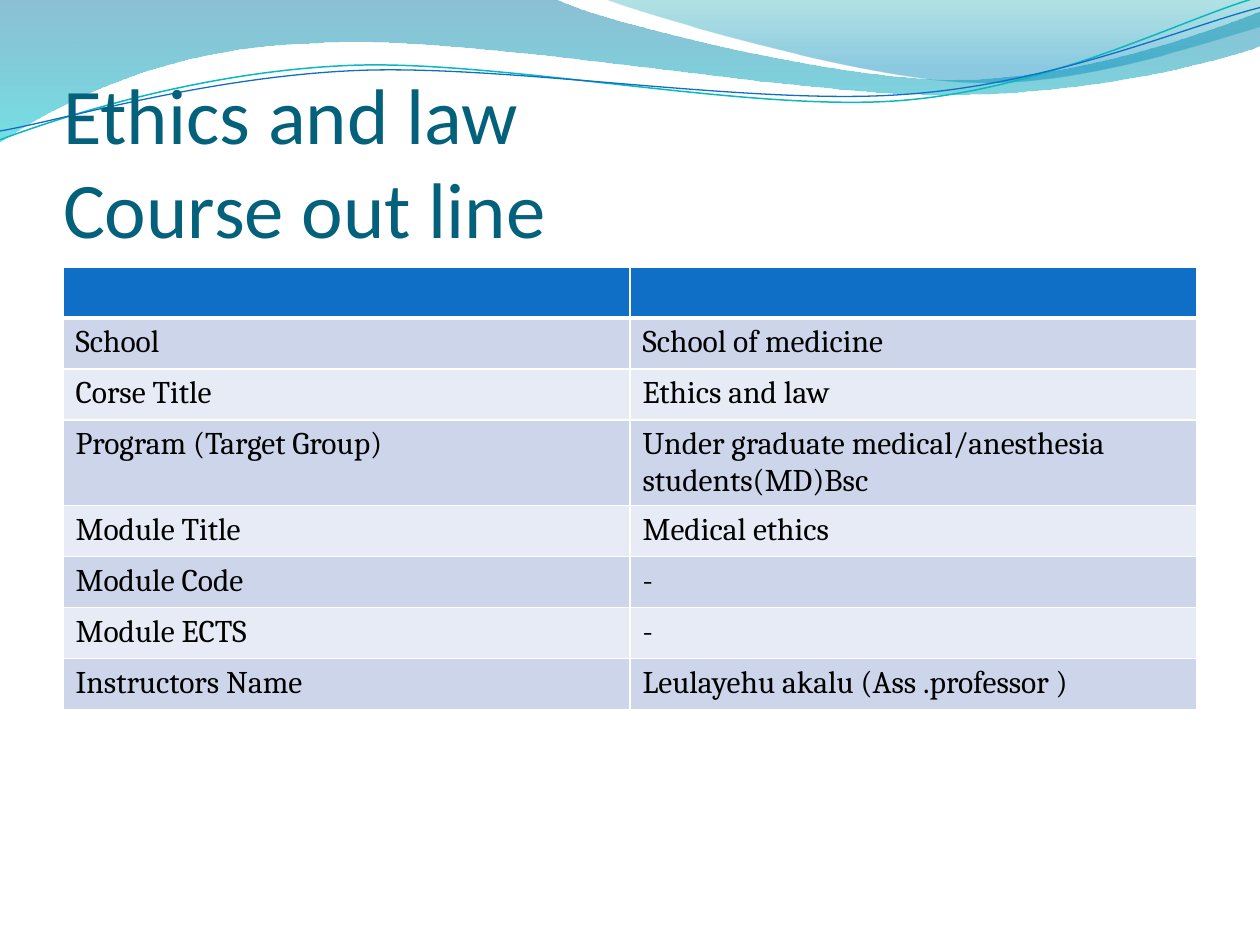
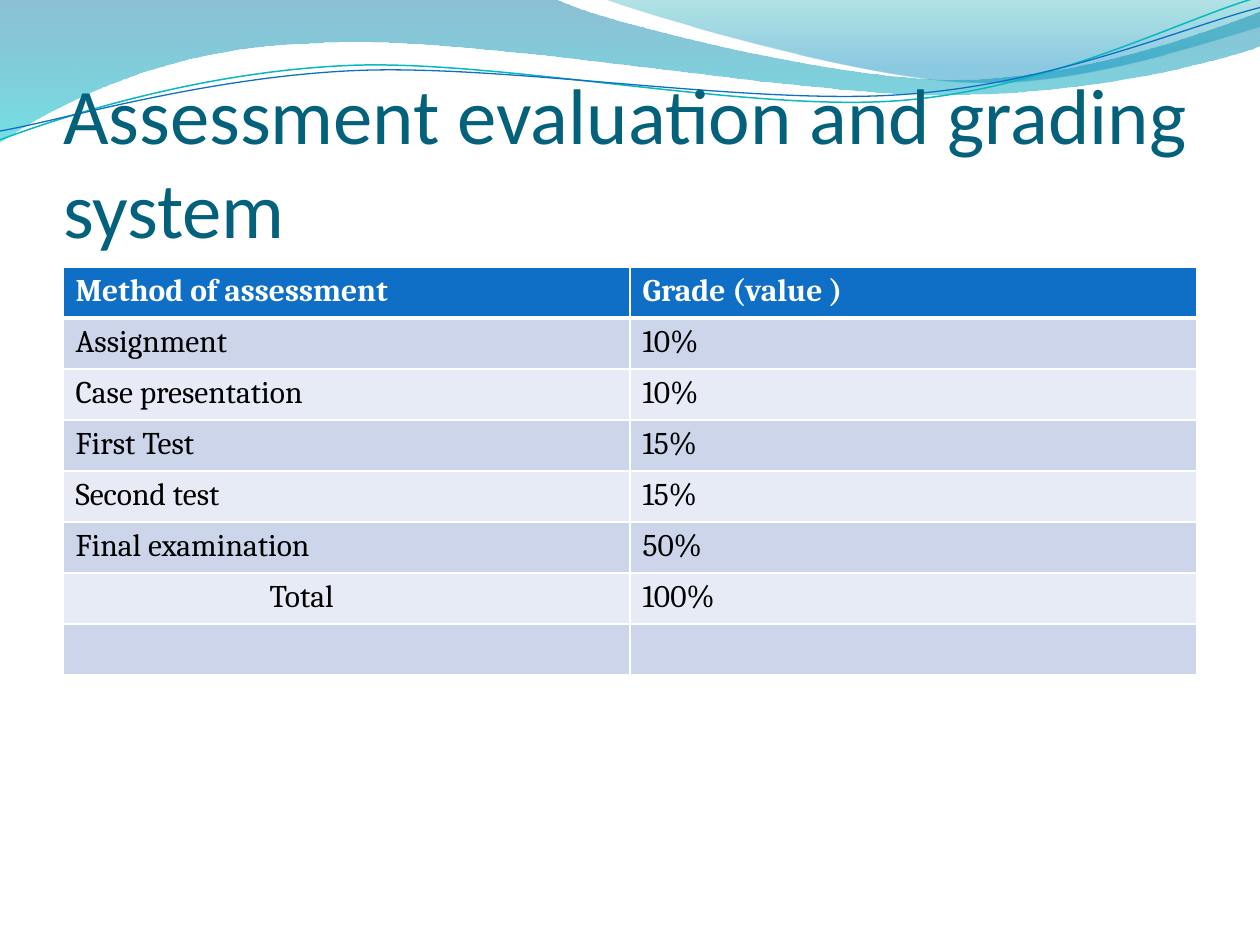
import pptx
import pptx.dml.color
import pptx.enum.text
import pptx.oxml
import pptx.oxml.ns
import pptx.util
from pptx.util import Inches

COLORS = {
    "title": "04617B",
    "header": "0F6FC6",
    "band_dark": "CCD5EA",
    "band_light": "E7EBF5",
    "white": "FFFFFF",
    "black": "000000",
    "wave_blue": "0074A1",
    "wave_cyan": "00C6CF",
    "crest_teal": "00A1A9",
    "crest_blue": "008BBF",
    "line_teal": "0AB8BF",
}
TITLE_FONT, TABLE_FONT = "Calibri", "Cambria"
NAMESPACE = pptx.oxml.ns.nsdecls("a")

# Wave outlines in inches: two numbers make a line, six make a Bezier curve
WAVE = [(0, 0), (4.4, -0.01),
        (4.76, 0.17, 6.64, 0.63, 7.58, 0.63), (8.53, 0.63, 9.58, 0.26, 10, 0.09),
        (10.01, 0.36),
        (9.83, 0.44, 8.7, 0.76, 7.46, 0.75), (6.22, 0.75, 3.82, 0.28, 2.57, 0.34),
        (1.29, 0.36, 0.46, 0.83, -0.01, 1.13), (0, 0)]
CREST = [(4.79, -0.01),
         (5.09, 0.11, 6.82, 0.62, 7.69, 0.65), (8.56, 0.69, 9.61, 0.32, 10, 0.21),
         (10, 0), (4.79, -0.01)]
TEAL_LINE = [(0, 1.11),
             (0.48, 0.93, 1.58, 0.57, 2.77, 0.52), (3.95, 0.47, 5.93, 0.89, 7.13, 0.8),
             (8.33, 0.71, 9.38, 0.15, 9.98, -0.02)]
BLUE_LINE = [(0, 1.04),
             (0.47, 0.96, 1.64, 0.61, 2.83, 0.56), (4.03, 0.51, 5.97, 0.84, 7.17, 0.75),
             (8.36, 0.67, 9.41, 0.21, 10, 0.06)]

COURSE_ROWS = [
    ("", ""),
    ("School", "School of medicine"),
    ("Corse Title", "Ethics and law"),
    ("Program (Target Group)", "Under graduate medical/anesthesia students(MD)Bsc"),
    ("Module Title", "Medical ethics"),
    ("Module Code", "-"),
    ("Module ECTS", "-"),
    ("Instructors Name", "Leulayehu akalu (Ass .professor )"),
]
GRADING_ROWS = [
    ("Method of assessment", "Grade (value )"),
    ("Assignment", "10%"),
    ("Case presentation", "10%"),
    ("First Test", "15%"),
    ("Second test", "15%"),
    ("Final examination", "50%"),
    ("Total", "100%"),
    ("", ""),
]


def rgb(name):
    return pptx.dml.color.RGBColor.from_string(COLORS[name])


def curve_element(shape, numbers):
    """Make a Bezier segment relative to the shape's top left corner."""
    points = "".join(
        f'<a:pt x="{Inches(x) - shape.left}" y="{Inches(y) - shape.top}"/>'
        for x, y in zip(numbers[::2], numbers[1::2]))
    return pptx.oxml.parse_xml(f"<a:cubicBezTo {NAMESPACE}>{points}</a:cubicBezTo>")


def add_outline(page, segments, close):
    """Build the outline through the end points, then bend its curved sides."""
    ends = [(Inches(segment[-2]), Inches(segment[-1])) for segment in segments]
    builder = page.shapes.build_freeform(*ends[0])
    builder.add_line_segments(ends[1:], close=close)
    shape = builder.convert_to_shape()
    shape.shadow.inherit = False
    sides = list(shape.element.spPr.iter(pptx.oxml.ns.qn("a:lnTo")))
    for side, segment in zip(sides, segments[1:]):
        if len(segment) == 6:
            side.getparent().replace(side, curve_element(shape, segment))
    return shape


def add_wave(page, segments, stops):
    """Add a filled wave; each stop is position, colour and opacity in percent."""
    shape = add_outline(page, segments, close=True)
    shape.line.fill.background()
    shape.fill.gradient()
    shape.fill.gradient_angle = 270
    for stop, (position, color, opacity) in zip(shape.fill.gradient_stops, stops):
        stop.position = position
        stop.color.rgb = rgb(color)
    tints = shape.element.spPr.iter(pptx.oxml.ns.qn("a:srgbClr"))
    for tint, (position, color, opacity) in zip(tints, stops):
        tint.append(pptx.oxml.parse_xml(
            f'<a:alpha {NAMESPACE} val="{opacity * 1000}"/>'))
    return shape


def add_wave_line(page, segments, color, width):
    shape = add_outline(page, segments, close=False)
    shape.fill.background()
    shape.line.color.rgb = rgb(color)
    shape.line.width = pptx.util.Pt(width)
    return shape


def decorate_master(page):
    """Draw the waves and move them to the master, behind all slides."""
    waves = [
        add_wave(page, WAVE, [(0, "wave_blue", 45), (1, "wave_cyan", 55)]),
        add_wave(page, CREST, [(0, "crest_teal", 30), (0.8, "crest_blue", 45)]),
        add_wave_line(page, TEAL_LINE, "line_teal", 0.85),
        add_wave_line(page, BLUE_LINE, "header", 0.75),
    ]
    master = page.slide_layout.slide_master
    for number, wave in enumerate(waves, start=20):
        wave.element.nvSpPr.cNvPr.id = number
        master.shapes.element.append(wave.element)


def set_title(page, text):
    title = page.shapes.title
    title.left, title.top = Inches(0.5), Inches(0.77)
    title.width, title.height = Inches(9), Inches(1.25)
    frame = title.text_frame
    frame.text = text
    frame.word_wrap = True
    frame.auto_size = pptx.enum.text.MSO_AUTO_SIZE.NONE
    frame.vertical_anchor = pptx.enum.text.MSO_ANCHOR.BOTTOM
    frame.margin_left = frame.margin_right = frame.margin_bottom = 0
    frame.margin_top = Inches(0.05)
    para = frame.paragraphs[0]
    para.alignment = pptx.enum.text.PP_ALIGN.LEFT
    para.font.name = TITLE_FONT
    para.font.size = pptx.util.Pt(45)
    para.font.color.rgb = rgb("title")


def set_borders(cell, bottom_width):
    properties = cell._tc.get_or_add_tcPr()
    for side, width in (("L", 1), ("R", 1), ("T", 1), ("B", bottom_width)):
        properties.append(pptx.oxml.parse_xml(
            f'<a:ln{side} {NAMESPACE} w="{pptx.util.Pt(width)}">'
            f'<a:solidFill><a:srgbClr val="{COLORS["white"]}"/></a:solidFill>'
            f'</a:ln{side}>'))


def fill_cell(cell, text, row_number):
    header = row_number == 0
    band = "band_dark" if row_number % 2 else "band_light"
    set_borders(cell, 3 if header else 1)
    cell.fill.solid()
    cell.fill.fore_color.rgb = rgb("header" if header else band)
    cell.text = text
    para = cell.text_frame.paragraphs[0]
    para.font.name = TABLE_FONT
    para.font.size = pptx.util.Pt(18)
    para.font.bold = header
    para.font.color.rgb = rgb("white" if header else "black")


def add_banded_table(page, rows):
    """Add a table of equal rows; a row with wrapped text grows by itself."""
    frame = page.shapes.add_table(len(rows), 2, Inches(0.5), Inches(2.12),
                                  Inches(9), Inches(3.24))
    table = frame.table
    for row_number, texts in enumerate(rows):
        for column_number, text in enumerate(texts):
            fill_cell(table.cell(row_number, column_number), text, row_number)
    return table


def main():
    deck = pptx.Presentation()
    deck.slide_width, deck.slide_height = Inches(10), Inches(7.5)
    layout = deck.slide_layouts[5]

    # Course outline
    page = deck.slides.add_slide(layout)
    decorate_master(page)
    set_title(page, "Ethics and law \vCourse out line")
    add_banded_table(page, COURSE_ROWS)

    # Grading, with the total indented
    page = deck.slides.add_slide(layout)
    set_title(page, "Assessment evaluation and grading system")
    grading = add_banded_table(page, GRADING_ROWS)
    grading.cell(6, 0).margin_left = Inches(1.64)

    deck.save("out.pptx")


if __name__ == "__main__":
    main()
